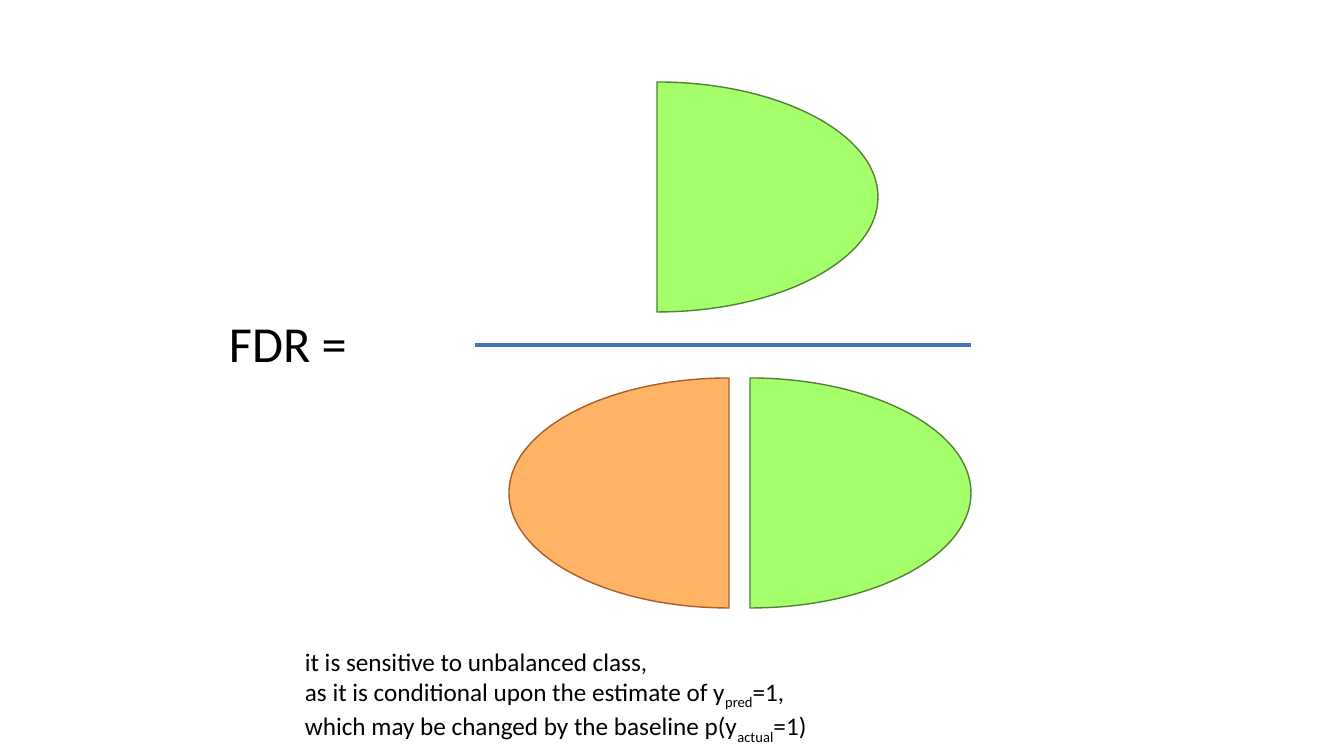
from dataclasses import dataclass

import pptx
import pptx.dml.color
import pptx.enum.shapes
import pptx.enum.text
import pptx.oxml.ns
import pptx.util
from lxml import etree

EMU_PER_PX = 12192000 / 1344
ARC_HANDLE = 0.55


@dataclass(frozen=True)
class Theme:
    font: str = "Calibri"
    text: str = "000000"
    green: str = "A5FF6B"
    green_edge: str = "538035"
    orange: str = "FFB465"
    orange_edge: str = "AF5C24"
    bar: str = "4472C4"
    formula_size: int = 36
    note_size: int = 18
    edge_width: float = 1
    bar_width: float = 3.5


THEME = Theme()


def px(length):
    return pptx.util.Emu(round(length * EMU_PER_PX))


def color(value):
    return pptx.dml.color.RGBColor.from_string(value)


def apply_format(target, values):
    for name, value in values.items():
        setattr(target, name, value)


def set_line(shape, value, width):
    shape.line.color.rgb = color(value)
    shape.line.width = pptx.util.Pt(width)


def bend_segment(segment, handles):
    segment.tag = pptx.oxml.ns.qn("a:cubicBezTo")
    for index, (x, y) in enumerate(handles):
        point = etree.Element(pptx.oxml.ns.qn("a:pt"), x=str(px(x)), y=str(px(y)))
        segment.insert(index, point)


def add_half_ellipse(page, flat_x, center_y, radius_x, radius_y, fill, edge):
    tip_x = flat_x + radius_x
    top, bottom = center_y - radius_y, center_y + radius_y
    builder = page.shapes.build_freeform(px(flat_x), px(top), scale=1.0)
    builder.add_line_segments([(px(tip_x), px(center_y)), (px(flat_x), px(bottom))], close=True)
    half = builder.convert_to_shape()

    flat, tip = max(-radius_x, 0), max(radius_x, 0)
    handle_x = flat + ARC_HANDLE * radius_x
    handle_y = ARC_HANDLE * radius_y
    arcs = [
        [(handle_x, 0), (tip, radius_y - handle_y)],
        [(tip, radius_y + handle_y), (handle_x, 2 * radius_y)],
    ]
    segments = list(half._element.iter(pptx.oxml.ns.qn("a:lnTo")))
    for segment, handles in zip(segments, arcs):
        bend_segment(segment, handles)

    half.shadow.inherit = False
    half.fill.solid()
    half.fill.fore_color.rgb = color(fill)
    set_line(half, edge, THEME.edge_width)


def add_fraction_bar(page, left, right, y):
    bar = page.shapes.add_connector(
        pptx.enum.shapes.MSO_CONNECTOR.STRAIGHT, px(left), px(y), px(right), px(y)
    )
    set_line(bar, THEME.bar, THEME.bar_width)
    etree.SubElement(bar._element.spPr, pptx.oxml.ns.qn("a:effectLst"))


def add_span(para, text, size, subscript):
    span = para.add_run()
    span.text = text
    apply_format(span.font, {"name": THEME.font, "size": pptx.util.Pt(size)})
    span.font.color.rgb = color(THEME.text)
    if subscript:
        span._r.get_or_add_rPr().set("baseline", "-25000")


def add_text(page, left, top, width, height, lines, size):
    box = page.shapes.add_textbox(px(left), px(top), px(width), px(height))
    apply_format(box.text_frame, {
        "word_wrap": False,
        "auto_size": pptx.enum.text.MSO_AUTO_SIZE.SHAPE_TO_FIT_TEXT,
    })
    para = box.text_frame.paragraphs[0]
    for index, line in enumerate(lines):
        if index:
            para.add_line_break()
        for position, text in enumerate(line):
            add_span(para, text, size, subscript=position % 2 == 1)


def main():
    deck = pptx.Presentation()
    apply_format(deck, {"slide_width": px(1344), "slide_height": px(756)})
    page = deck.slides.add_slide(deck.slide_layouts[6])

    add_fraction_bar(page, 475, 971, 345)
    add_text(page, 219, 307, 151, 72, [["FDR ="]], THEME.formula_size)

    green = (THEME.green, THEME.green_edge)
    orange = (THEME.orange, THEME.orange_edge)
    add_half_ellipse(page, 750, 493, 221, 115, *green)
    add_half_ellipse(page, 729, 493, -220, 115, *orange)
    add_half_ellipse(page, 657, 197, 221, 115, *green)

    note = [
        ["it is sensitive to unbalanced class, "],
        ["as it is conditional upon the estimate of y", "pred", "=1, "],
        ["which may be changed by the baseline p(y", "actual", "=1)"],
    ]
    add_text(page, 295, 641, 539, 102, note, THEME.note_size)
    deck.save("out.pptx")


if __name__ == "__main__":
    main()
